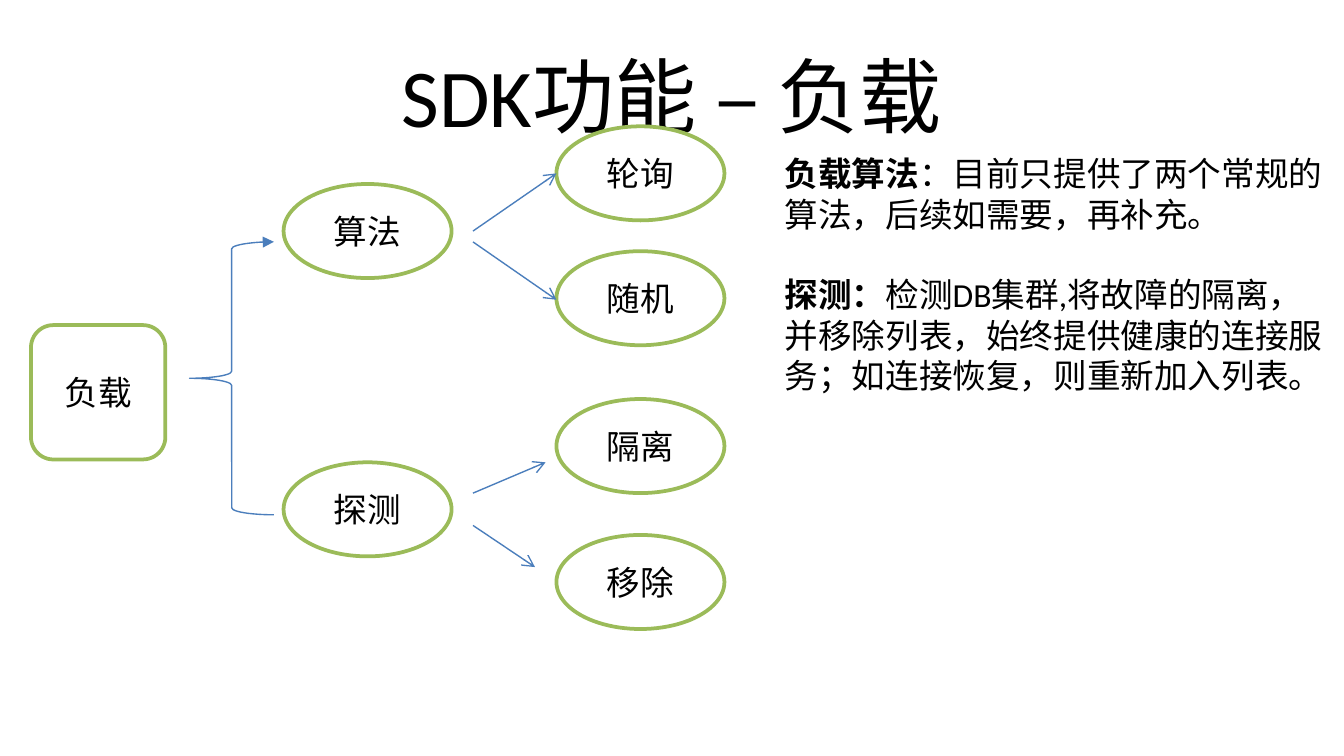
from lxml import etree
from pptx import Presentation
from pptx.dml.color import RGBColor
from pptx.enum import shapes, text
from pptx.oxml.ns import qn
from pptx.util import Pt

COLORS = {"text": "000000", "node": "FFFFFF", "border": "9BBB59", "link": "4B7EBC"}
FONT = "Calibri"
BODY_SIZE = 18
LINE_HEIGHT = 21.6

TITLE = "SDK功能 – 负载"
ROOT = ("负载", 16.6, 174.2)
ROOT_SIZE = 72
ELLIPSE_SIZE = (90, 50.4)
COLUMNS = [
    (151.9, [("算法", 98.6), ("探测", 247.7)]),
    (298.1, [("轮询", 67.7), ("随机", 134.6), ("隔离", 213.8), ("移除", 286.6)]),
]
ARROW_START = 253.4
ARROWS = [
    (123.8, 298.1, 92.9),
    (129.6, 298.1, 160.6),
    (264.2, 292.3, 247.7),
    (281.5, 286.6, 303.8),
]
BRACE = (101.5, 129.6, 45.2, 146.2)
NOTES_BOX = (413.3, 78.5, 303.1, 138.2)
NOTES = [
    [
        [("负载算法", True), ("：目前只提供了两个常规的", False)],
        [("算法，后续如需要，再补充。", False)],
    ],
    [
        [("探测：", True), ("检测DB集群,将故障的隔离，", False)],
        [("并移除列表，始终提供健康的连接服", False)],
        [("务；如连接恢复，则重新加入列表。", False)],
    ],
]


def color(name):
    return RGBColor.from_string(COLORS[name])


def points(values):
    return [Pt(value) for value in values]


def add_run(paragraph, words, size=BODY_SIZE, bold=False):
    run = paragraph.add_run()
    run.text = words
    run.font.name = FONT
    run.font.size = Pt(size)
    run.font.bold = bold
    run.font.color.rgb = color("text")


def add_node(slide, kind, words, *box):
    node = slide.shapes.add_shape(kind, *points(box))
    node.shadow.inherit = False
    node.fill.solid()
    node.fill.fore_color.rgb = color("node")
    node.line.color.rgb = color("border")
    node.line.width = Pt(2)
    node.text_frame.vertical_anchor = text.MSO_ANCHOR.MIDDLE
    paragraph = node.text_frame.paragraphs[0]
    paragraph.alignment = text.PP_ALIGN.CENTER
    add_run(paragraph, words)


def style_link(shape, head):
    shape.line.color.rgb = color("link")
    shape.line.width = Pt(0.75)
    properties = shape._element.spPr
    etree.SubElement(properties.find(qn("a:ln")), qn("a:tailEnd"), type=head)
    if properties.find(qn("a:effectLst")) is None:
        etree.SubElement(properties, qn("a:effectLst"))


def add_title(slide):
    title = slide.shapes.title
    title.left, title.top, title.width, title.height = points((36, 16.6, 648, 67.7))
    title.text_frame.vertical_anchor = text.MSO_ANCHOR.MIDDLE
    paragraph = title.text_frame.paragraphs[0]
    paragraph.alignment = text.PP_ALIGN.CENTER
    add_run(paragraph, TITLE, size=44)


def add_tree(slide):
    label, left, top = ROOT
    add_node(slide, shapes.MSO_SHAPE.ROUNDED_RECTANGLE, label, left, top, ROOT_SIZE, ROOT_SIZE)
    for left, nodes in COLUMNS:
        for label, top in nodes:
            add_node(slide, shapes.MSO_SHAPE.OVAL, label, left, top, *ELLIPSE_SIZE)
    for start_y, end_x, end_y in ARROWS:
        ends = points((ARROW_START, start_y, end_x, end_y))
        arrow = slide.shapes.add_connector(shapes.MSO_CONNECTOR.STRAIGHT, *ends)
        style_link(arrow, "arrow")
    brace = slide.shapes.add_shape(shapes.MSO_SHAPE.LEFT_BRACE, *points(BRACE))
    brace.shadow.inherit = False
    brace.fill.background()
    style_link(brace, "triangle")


def add_notes(slide):
    frame = slide.shapes.add_textbox(*points(NOTES_BOX)).text_frame
    frame.word_wrap = False
    paragraph = None
    for block in NOTES:
        for index, line in enumerate(block):
            first = paragraph is None
            paragraph = frame.paragraphs[0] if first else frame.add_paragraph()
            if index == 0 and not first:
                paragraph.space_before = Pt(LINE_HEIGHT)
            for words, bold in line:
                add_run(paragraph, words, bold=bold)


def main():
    presentation = Presentation()
    presentation.slide_width, presentation.slide_height = points((720, 405))
    slide = presentation.slides.add_slide(presentation.slide_layouts[5])
    add_title(slide)
    add_tree(slide)
    add_notes(slide)
    presentation.save("out.pptx")


if __name__ == "__main__":
    main()
